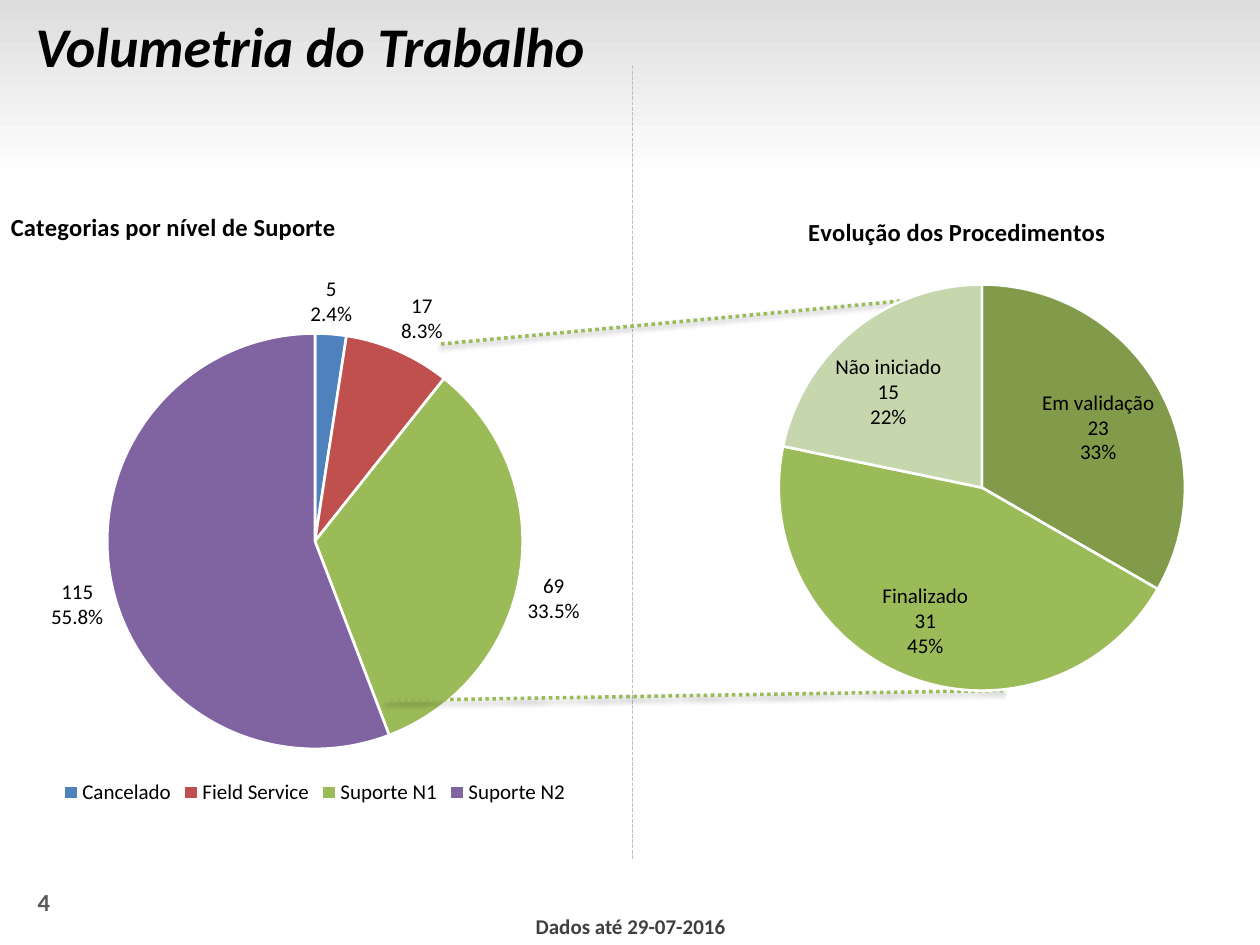
from dataclasses import dataclass
from typing import Optional

from lxml import etree
from pptx import Presentation
from pptx import util as u
from pptx.chart.data import CategoryChartData
from pptx.dml.color import RGBColor
from pptx.enum import chart as charts, dml, shapes, text
from pptx.oxml import parse_xml
from pptx.oxml.ns import nsdecls, qn


@dataclass(frozen=True)
class Theme:
    font: str = "Calibri"
    black: str = "000000"
    white: str = "FFFFFF"
    band: str = "DDDDDD"
    number: str = "595959"
    note: str = "404040"
    divider: str = "BFBFBF"
    link: str = "9BBB59"
    title_size: int = 32
    heading_size: int = 14
    label_size: int = 12


THEME = Theme()


@dataclass(frozen=True)
class Pie:
    title: str
    box: tuple[float, float, float, float]
    title_place: tuple[float, float]
    plot_place: tuple[float, float, float, float]
    slices: list[tuple[str, int, str]]
    position: charts.XL_LABEL_POSITION
    percent_format: Optional[str] = None
    legend: bool = False
    category_labels: bool = False


@dataclass(frozen=True)
class Line:
    start: tuple[float, float]
    end: tuple[float, float]
    color: str
    width: float
    dash: dml.MSO_LINE
    shadow: bool = False


SUPPORT = Pie(
    "Categorias por nível de Suporte", (0, 1.58, 5, 4.85), (0.01, 0.01),
    (0.17, 0.22, 0.66, 0.68),
    [("Cancelado", 5, "4F81BD"), ("Field Service", 17, "C0504D"),
     ("Suporte N1", 69, "9BBB59"), ("Suporte N2", 115, "8064A2")],
    charts.XL_LABEL_POSITION.OUTSIDE_END, percent_format="0.0%", legend=True)
PROCEDURES = Pie(
    "Evolução dos Procedimentos", (5.09, 1.48, 4.96, 4.83), (0.26, 0.04),
    (0.22, 0.16, 0.65, 0.67),
    [("Em validação", 23, "819B4A"), ("Finalizado", 31, "9BBB59"),
     ("Não iniciado", 15, "C6D6AD")],
    charts.XL_LABEL_POSITION.BEST_FIT, category_labels=True)
LINES = [
    Line((5.02, 0.52), (5.02, 6.82), THEME.divider, 0.75, dml.MSO_LINE.SQUARE_DOT),
    Line((3.5, 2.73), (7.57, 2.35), THEME.link, 2, dml.MSO_LINE.ROUND_DOT, True),
    Line((3.07, 5.56), (7.98, 5.48), THEME.link, 2, dml.MSO_LINE.ROUND_DOT, True),
]


def style(font, size: float, color: str, bold: bool = False, italic: bool = False) -> None:
    font.name, font.size = THEME.font, u.Pt(size)
    font.bold, font.italic = bold, italic
    font.color.rgb = RGBColor.from_string(color)


def add_band(slide) -> None:
    band = slide.shapes.add_shape(
        shapes.MSO_SHAPE.RECTANGLE, 0, 0, u.Inches(10), u.Inches(1.42))
    band.shadow.inherit = False
    band.line.fill.background()
    band.fill.gradient()
    band.fill.gradient_angle = 270
    for stop, color, position in zip(
            band.fill.gradient_stops, (THEME.band, THEME.white), (0, 1)):
        stop.color.rgb = RGBColor.from_string(color)
        stop.position = position
    slide.shapes.element.insert(2, band.element)  # behind the title


def format_title(slide, words: str) -> None:
    title = slide.shapes.title
    title.left, title.top, title.width, title.height = (
        u.Inches(value) for value in (-0.02, 0, 8, 0.71))
    frame = title.text_frame
    frame.auto_size = text.MSO_AUTO_SIZE.NONE
    frame.vertical_anchor = text.MSO_ANCHOR.MIDDLE
    paragraph = frame.paragraphs[0]
    paragraph.alignment = text.PP_ALIGN.LEFT
    paragraph._p.get_or_add_pPr().set("marL", str(u.Inches(0.2)))
    run = paragraph.add_run()
    run.text = words
    style(run.font, THEME.title_size, THEME.black, True, True)


def add_text(slide, words: str, box: tuple[float, float, float, float], size: float,
             color: str, alignment: text.PP_ALIGN, wrap: bool) -> None:
    shape = slide.shapes.add_textbox(*(u.Inches(value) for value in box))
    shape.text_frame.word_wrap = wrap
    paragraph = shape.text_frame.paragraphs[0]
    paragraph.alignment = alignment
    run = paragraph.add_run()
    run.text = words
    style(run.font, size, color, True)


def add_line(slide, line: Line) -> None:
    connector = slide.shapes.add_connector(
        shapes.MSO_CONNECTOR.STRAIGHT,
        *(u.Inches(value) for value in line.start + line.end))
    connector.line.color.rgb = RGBColor.from_string(line.color)
    connector.line.width = u.Pt(line.width)
    connector.line.dash_style = line.dash
    effects = etree.SubElement(connector.element.spPr, qn("a:effectLst"))
    if line.shadow:
        effects.append(parse_xml(
            f'<a:outerShdw {nsdecls("a")} blurRad="{u.Pt(3.1)}" dist="{u.Pt(1.6)}" '
            f'dir="5400000" rotWithShape="0"><a:srgbClr val="{THEME.black}">'
            '<a:alpha val="38000"/></a:srgbClr></a:outerShdw>'))


def place(parent, index: int, fractions: tuple[float, ...], inner: bool = False) -> None:
    """Give a chart part a manual layout in fractions of the chart."""
    for old in parent.findall(qn("c:layout")):
        parent.remove(old)
    layout = etree.Element(qn("c:layout"))
    manual = etree.SubElement(layout, qn("c:manualLayout"))
    settings = [("layoutTarget", "inner")] if inner else []
    settings += [("xMode", "edge"), ("yMode", "edge")]
    settings += list(zip("xywh", map(str, fractions)))
    for name, value in settings:
        etree.SubElement(manual, qn(f"c:{name}")).set("val", value)
    parent.insert(index, layout)


def add_pie(slide, pie: Pie) -> None:
    names, values, colors = zip(*pie.slices)
    data = CategoryChartData()
    data.categories = names
    data.add_series(pie.title, values)
    chart = slide.shapes.add_chart(
        charts.XL_CHART_TYPE.PIE, *(u.Inches(value) for value in pie.box), data).chart
    style(chart.font, 10, THEME.black)

    # Heading and plot area
    chart.has_title = True
    run = chart.chart_title.text_frame.paragraphs[0].add_run()
    run.text = pie.title
    style(run.font, THEME.heading_size, THEME.black, True)
    place(chart.element.find(f".//{qn('c:title')}"), 1, pie.title_place)
    place(chart.element.find(f".//{qn('c:plotArea')}"), 0, pie.plot_place, True)

    # Legend
    chart.has_legend = pie.legend
    if pie.legend:
        chart.legend.position = charts.XL_LEGEND_POSITION.BOTTOM
        chart.legend.include_in_layout = False
        style(chart.legend.font, THEME.label_size, THEME.black)

    # Slices
    chart.plots[0].vary_by_categories = True
    series = chart.plots[0].series[0]
    for index, color in enumerate(colors):
        form = series.points[index].format
        form.fill.solid()
        form.fill.fore_color.rgb = RGBColor.from_string(color)
        form.line.color.rgb = RGBColor.from_string(THEME.white)
        form.line.width = u.Pt(1.5)

    # Labels, one part per line
    labels = series.data_labels
    labels.show_value = labels.show_percentage = True
    labels.show_category_name = pie.category_labels
    labels.position = pie.position
    if pie.percent_format:
        labels.number_format = pie.percent_format
        labels.number_format_is_linked = False
    style(labels.font, THEME.label_size, THEME.black)
    separator = etree.Element(qn("c:separator"))
    separator.text = "\n"
    chart.element.find(f".//{qn('c:ser')}/{qn('c:dLbls')}/{qn('c:showBubbleSize')}").addnext(separator)


def main() -> None:
    presentation = Presentation()
    presentation.slide_width, presentation.slide_height = u.Inches(10), u.Inches(7.5)
    slide = presentation.slides.add_slide(presentation.slide_layouts[5])
    add_band(slide)
    format_title(slide, "Volumetria do Trabalho")
    add_text(slide, "4", (0.2, 6.99, 0.79, 0.34), THEME.heading_size, THEME.number,
             text.PP_ALIGN.LEFT, True)
    add_pie(slide, SUPPORT)
    add_text(slide, "Dados até 29-07-2016", (4.14, 7.2, 1.73, 0.3), THEME.label_size,
             THEME.note, text.PP_ALIGN.CENTER, False)
    for line in LINES:
        add_line(slide, line)
    add_pie(slide, PROCEDURES)
    presentation.save("out.pptx")


if __name__ == "__main__":
    main()
